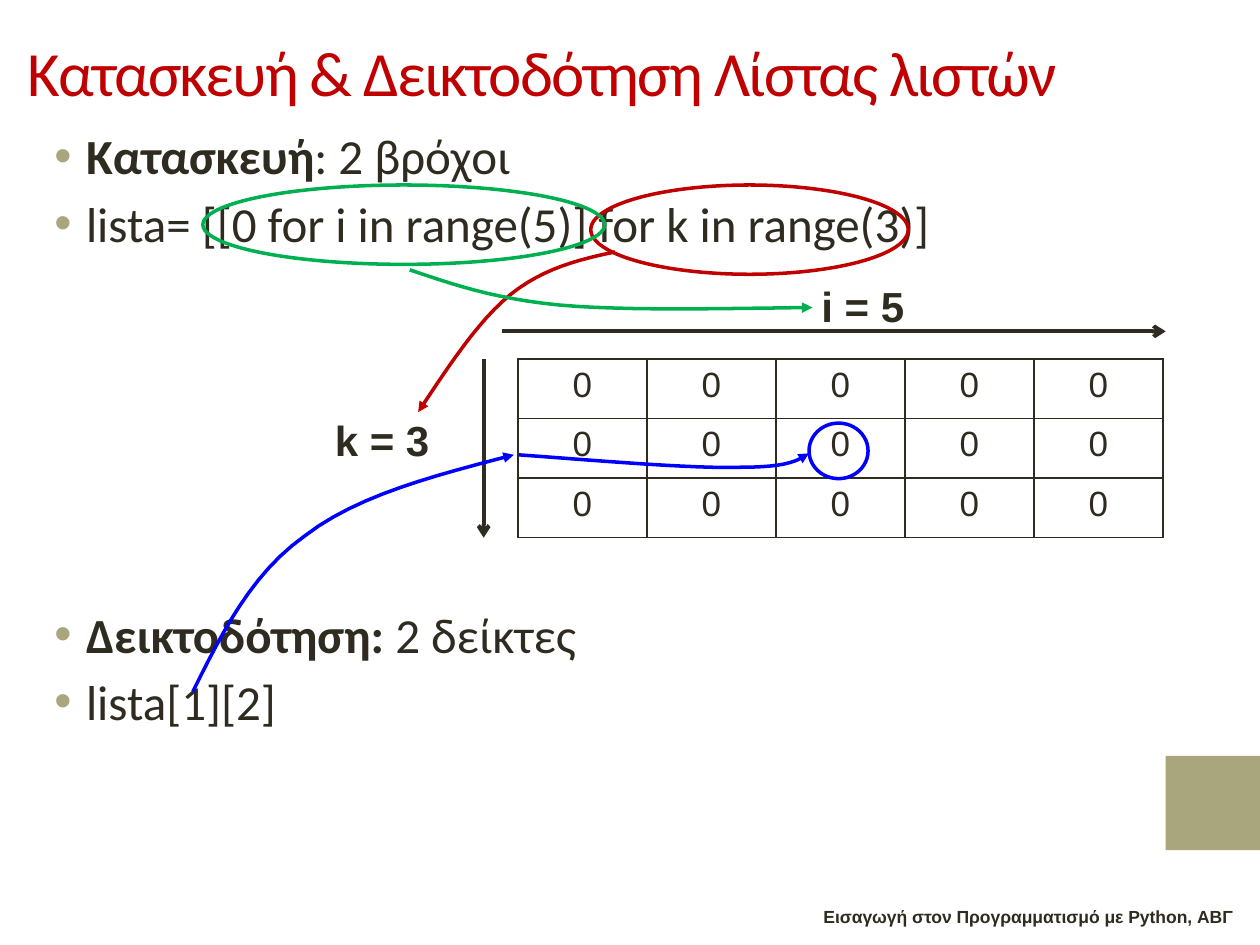
from lxml import etree
from pptx import Presentation
from pptx.dml.color import RGBColor
from pptx.enum.shapes import MSO_CONNECTOR, MSO_SHAPE
from pptx.enum.text import MSO_ANCHOR, MSO_AUTO_SIZE, PP_ALIGN
from pptx.oxml.ns import qn
from pptx.util import Cm, Pt

LEFT, CENTER, RIGHT, JUSTIFY = (PP_ALIGN.LEFT, PP_ALIGN.CENTER,
                                PP_ALIGN.RIGHT, PP_ALIGN.JUSTIFY)
MIDDLE, NO_FIT = MSO_ANCHOR.MIDDLE, MSO_AUTO_SIZE.NONE
STRAIGHT = MSO_CONNECTOR.STRAIGHT
OVAL, RECT = MSO_SHAPE.OVAL, MSO_SHAPE.RECTANGLE
INK, SAND, RED, GREEN, BLUE = "2F2B20", "A9A57C", "C00000", "00B050", "0000FF"
STEPS = 12


def rgb(value):
    """Return the colour for a hex string."""
    return RGBColor.from_string(value)


def place(s, x, y, w, h):
    """Move and size a shape, in centimetres."""
    for name, value in dict(left=x, top=y, width=w, height=h).items():
        setattr(s, name, Cm(value))


def add_run(p, text, color=INK, **fmt):
    """Add a run whose font takes the given format values."""
    r = p.add_run()
    r.text = text
    r.font.color.rgb = rgb(color)
    for name, value in fmt.items():
        setattr(r.font, name, value)
    return r


def add_label(slide, box, text, size, align=LEFT):
    """Add a bold Arial text box."""
    tf = slide.shapes.add_textbox(*map(Cm, box)).text_frame
    tf.word_wrap = True
    p = tf.paragraphs[0]
    p.alignment = align
    add_run(p, text, name="Arial", size=Pt(size), bold=True)


def style_line(s, color, width, head=None):
    """Set line colour and width, and an arrowhead at the end if named."""
    s.line.color.rgb = rgb(color)
    s.line.width = Pt(width)
    if head:
        ln = s.line._get_or_add_ln()
        etree.SubElement(ln, qn("a:tailEnd"), type=head)


def add_ring(slide, box, color):
    """Add an unfilled ellipse."""
    s = slide.shapes.add_shape(OVAL, *map(Cm, box))
    s.shadow.inherit = False
    s.fill.background()
    style_line(s, color, 2)


def bezier(points):
    """Return points along a chain of cubic curves."""
    path = [points[0]]
    for i in range(0, len(points) - 1, 3):
        a, b, c, d = points[i:i + 4]
        for t in (n / STEPS for n in range(1, STEPS + 1)):
            u = 1 - t
            path.append(tuple(
                u**3 * a[k] + 3 * u * u * t * b[k] + 3 * u * t * t * c[k] + t**3 * d[k]
                for k in (0, 1)))
    return path


def add_curve(slide, x, y, points, color):
    """Add a curved arrow with points relative to x, y."""
    path = [(Cm(x + px), Cm(y + py)) for px, py in bezier(points)]
    builder = slide.shapes.build_freeform(*path[0])
    builder.add_line_segments(path[1:], close=False)
    s = builder.convert_to_shape()
    s.shadow.inherit = False
    s.fill.background()
    style_line(s, color, 2, "triangle")


def add_axis(slide, x1, y1, x2, y2):
    """Add a straight dark arrow."""
    s = slide.shapes.add_connector(STRAIGHT, *map(Cm, (x1, y1, x2, y2)))
    style_line(s, INK, 2.25, "arrow")
    etree.SubElement(s._element.spPr, qn("a:effectLst"))


def add_frame(slide, x, y, w, h):
    """Add the side square and the footer line."""
    s = slide.shapes.add_shape(RECT, *map(Cm, (x + w - 1.9, y + 15.24, 1.9, 1.9)))
    s.shadow.inherit = False
    s.fill.solid()
    s.fill.fore_color.rgb = rgb(SAND)
    s.line.fill.background()
    add_label(slide, (x + 1.3, y + h - 0.91, w - 1.6, 0.69),
              "Εισαγωγή στον Προγραμματισμό με Python, ΑΒΓ", 10, RIGHT)


def fill_title(s, box, text):
    """Fill the title placeholder."""
    place(s, *box)
    tf = s.text_frame
    for name, value in dict(vertical_anchor=MIDDLE, auto_size=NO_FIT,
                            word_wrap=True).items():
        setattr(tf, name, value)
    p = tf.paragraphs[0]
    p.alignment = LEFT
    r = add_run(p, text, RED, name="Calibri", size=Pt(36))
    r.font._element.set("spc", "-100")


def fill_body(s, box, items):
    """Fill the body placeholder with bullets: space before and runs."""
    place(s, *box)
    tf = s.text_frame
    tf.auto_size = NO_FIT
    for i, (space, runs) in enumerate(items):
        p = tf.add_paragraph() if i else tf.paragraphs[0]
        p.alignment, p.space_before = JUSTIFY, Pt(space)
        pPr = p._p.get_or_add_pPr()
        for name, value in dict(marL=0.97, indent=-0.64).items():
            pPr.set(name, str(int(Cm(value))))
        clr = etree.SubElement(pPr, qn("a:buClr"))
        etree.SubElement(clr, qn("a:srgbClr"), val=SAND)
        etree.SubElement(pPr, qn("a:buChar"), char="•")
        for text, bold in runs:
            add_run(p, text, name="Calibri", size=Pt(28), bold=bold)


def add_borders(cell):
    """Draw a thin dark line on each side of a cell."""
    tcPr = cell._tc.get_or_add_tcPr()
    for side in "LRTB":
        ln = etree.SubElement(tcPr, qn(f"a:ln{side}"), w=str(int(Pt(1))))
        fill = etree.SubElement(ln, qn("a:solidFill"))
        etree.SubElement(fill, qn("a:srgbClr"), val=INK)


def add_grid(slide, x, y, w, h, rows, cols):
    """Add the table of zeros with its axes and index arrows."""
    table = slide.shapes.add_table(rows, cols, *map(Cm, (x, y, w, h))).table
    table.first_row = table.horz_banding = False
    for cell in table.iter_cells():
        add_borders(cell)
        cell.fill.background()
        p = cell.text_frame.paragraphs[0]
        p.alignment = CENTER
        add_run(p, "0", name="Arial", size=Pt(20))
    add_axis(slide, x - 0.33, y - 0.56, x + w + 0.06, y - 0.56)
    add_axis(slide, x - 0.69, y, x - 0.69, y + h)
    add_label(slide, (x + 5.87, y - 1.7, 3.2, 1.27), f"i = {cols}", 24)
    add_label(slide, (x - 3.94, y + 0.99, 3.2, 1.27), f"k = {rows}", 24)
    add_ring(slide, (x + 5.87, y + 1.29, 1.19, 1.12), BLUE)
    to_row = [(-6.55, 6.7), (-5.97, 5.54), (-5.39, 4.34), (-4.29, 3.56),
              (-3.23, 2.74), (-1.65, 2.34), (-0.08, 1.93)]
    to_cell = [(0.02, 1.93), (1.78, 2.06), (3.53, 2.21), (4.5, 2.18),
               (5.49, 2.18), (5.66, 2.03), (5.87, 1.9)]
    for points in (to_row, to_cell):
        add_curve(slide, x, y, points, BLUE)


def add_loops(slide, x, y, w):
    """Ring the two loops and point each to its label."""
    outer = [(8.31, 1.35), (7.59, 1.5), (6.86, 1.68), (6.2, 2.21),
             (5.54, 2.75), (4.95, 3.66), (4.34, 4.58)]
    inner = [(4.17, 1.71), (5, 1.99), (5.84, 2.29), (7.19, 2.42),
             (8.56, 2.54), (10.44, 2.49), (12.29, 2.47)]
    for ring, points, color in (((x + w - 6.4, y, 6.4, 1.8), outer, RED),
                                ((x, y, 8.1, 1.6), inner, GREEN)):
        add_ring(slide, ring, color)
        add_curve(slide, x, y, points, color)


def main():
    """Build and save the slide."""
    prs = Presentation()
    prs.slide_width, prs.slide_height = Cm(25.4), Cm(19.05)
    slide = prs.slides.add_slide(prs.slide_layouts[1])
    add_frame(slide, 0, 0, 25.4, 19.05)
    fill_title(slide.shapes.title, (0.3, 0.33, 22.81, 2.21),
               "Κατασκευή & Δεικτοδότηση Λίστας λιστών")
    fill_body(slide.placeholders[1], (0.51, 2.41, 24.41, 15.39), [
        (0, [("Κατασκευή", True), (": 2 βρόχοι", False)]),
        (5, [("lista= [[0 for i in range(5)] for k in range(3)]", False)]),
        (201, [("Δεικτοδότηση: ", True), ("2 δείκτες", False)]),
        (5, [("lista[1][2]", False)]),
    ])
    add_grid(slide, 10.44, 7.24, 13, 3.6, rows=3, cols=5)
    add_loops(slide, 4.09, 3.73, 14.22)
    prs.save("out.pptx")


if __name__ == "__main__":
    main()
